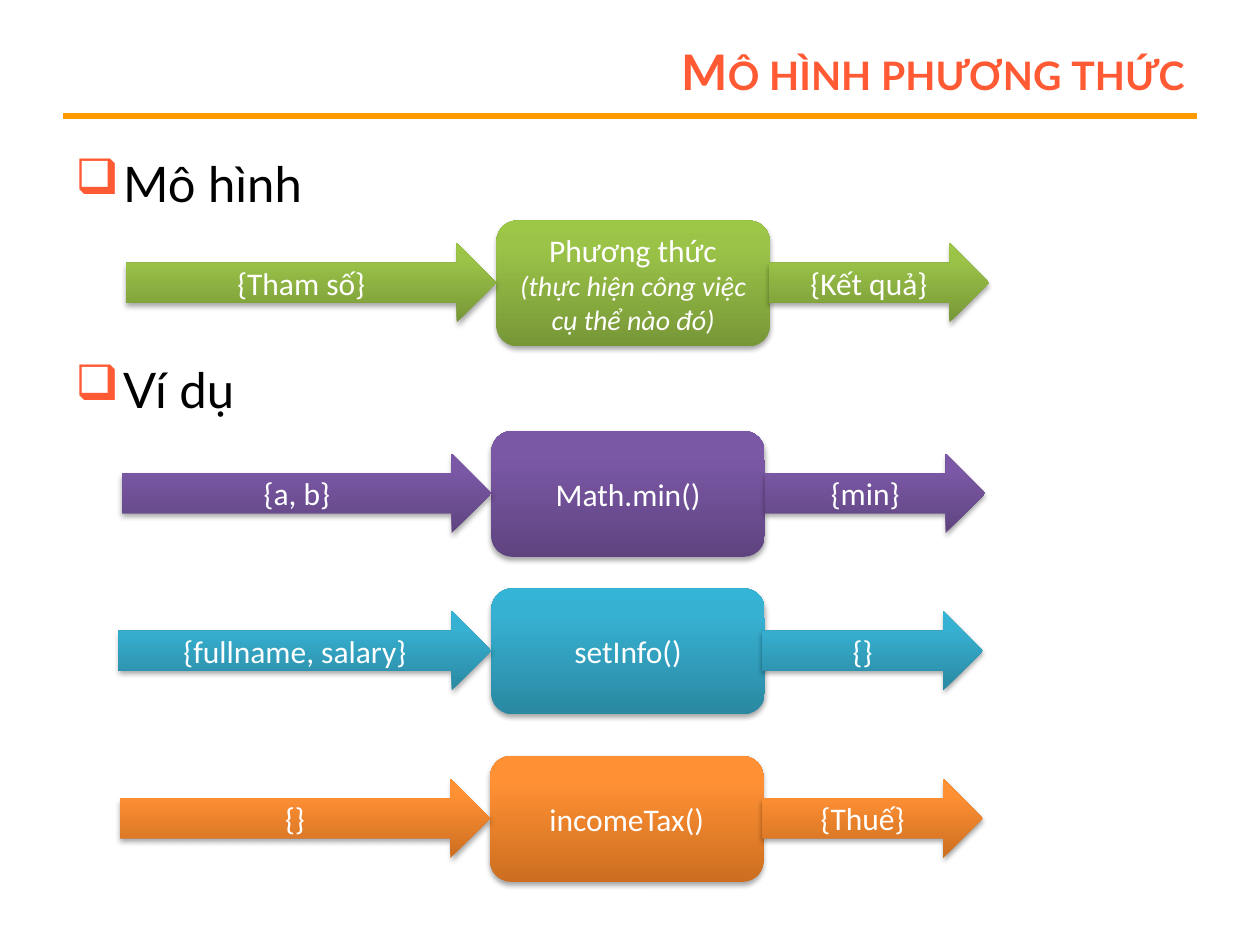
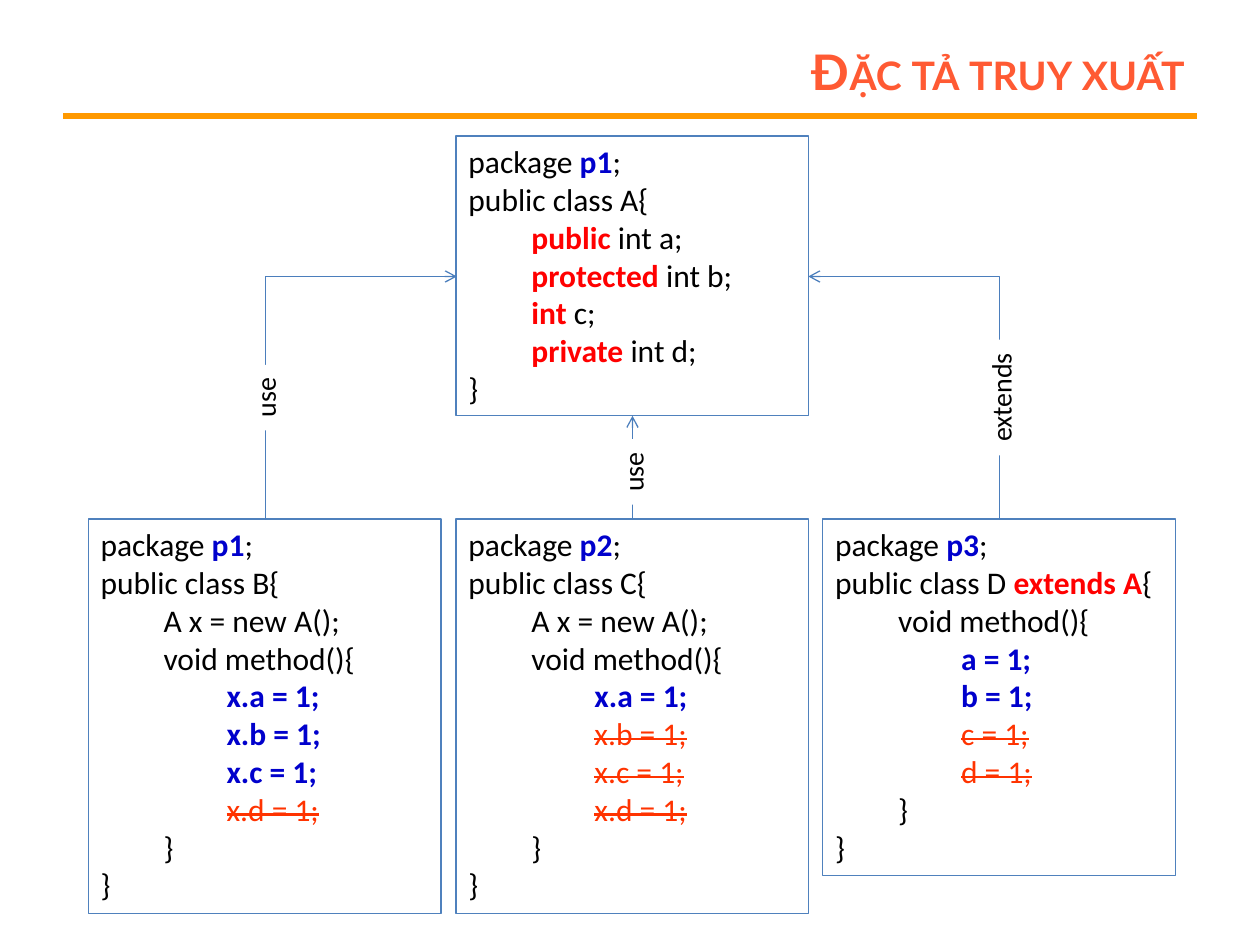
from copy import deepcopy
from dataclasses import dataclass
from lxml.etree import SubElement
from pptx import Presentation
from pptx.dml.color import RGBColor
from pptx.enum.shapes import MSO_CONNECTOR, MSO_SHAPE
from pptx.enum.text import MSO_ANCHOR, PP_ALIGN
from pptx.oxml.ns import qn
from pptx.util import Inches, Pt


@dataclass
class Theme:
    head: str = "Lato"
    body: str = "Calibri"
    big: int = 28
    text: int = 18
    small: int = 16
    accent: str = "FF5A33"
    rule: str = "FF9900"
    edge: str = "4F81BD"
    link: str = "4B7EBC"
    black: str = "000000"
    white: str = "FFFFFF"
    blue: str = "0000CC"
    red: str = "FF0000"
    cut: str = "FF3300"
    green: tuple = ("779737", "9BC348", "9DC746")
    purple: tuple = ("5F4480", "7B58A6", "7C57A8")
    teal: tuple = ("2A88A2", "37B1D2", "34B4D6")
    orange: tuple = ("CC6E20", "FF9034", "FF9136")


theme = Theme()
rgb = RGBColor.from_string
deck = Presentation()
deck.slide_width, deck.slide_height = Inches(10), Inches(7.5)


def style(frame, font, size, color, align=PP_ALIGN.LEFT):
    """Give every run of a text frame the same look."""
    frame.word_wrap = True
    for para in frame.paragraphs:
        para.alignment = align
        for run in para.runs:
            run.font.name, run.font.size = font, Pt(size)
            run.font.color.rgb = rgb(color)


def start(title):
    """Add a slide with its title and the rule below it."""
    slide = deck.slides.add_slide(deck.slide_layouts[6])
    rule = slide.shapes.add_connector(
        MSO_CONNECTOR.STRAIGHT, Inches(0.5), Inches(0.92), Inches(9.5), Inches(0.92))
    rule.line.color.rgb, rule.line.width = rgb(theme.rule), Pt(3)
    SubElement(rule._element.spPr, qn("a:effectLst"))
    frame = slide.shapes.add_textbox(
        Inches(2.25), Inches(0.3), Inches(7.25), Inches(0.53)).text_frame
    frame.text = title
    frame.vertical_anchor = MSO_ANCHOR.MIDDLE
    style(frame, theme.head, theme.big, theme.accent, PP_ALIGN.RIGHT)
    font = frame.paragraphs[0].runs[0].font
    font.bold = True
    font._element.set("cap", "small")
    return slide


# Slide 1: method model and examples
slide = start("Mô hình phương thức")
frame = slide.shapes.add_textbox(
    Inches(0.5), Inches(1.17), Inches(9), Inches(5.75)).text_frame
frame.text = "Mô hình\nVí dụ"
style(frame, theme.head, theme.big, theme.black)
for para, gap in zip(frame.paragraphs, (5.6, 84)):
    para.space_before = Pt(gap)
    props = para._element.get_or_add_pPr()
    props.set("marL", str(Inches(0.38)))
    props.set("indent", str(-Inches(0.38)))
    SubElement(SubElement(props, qn("a:buClr")), qn("a:srgbClr"), val=theme.accent)
    SubElement(props, qn("a:buChar"), char="❑")

# top, left edges of input, box and output, colours, texts
flows = [
    (1.75, 1, 3.94, 6.1, theme.green, "{Tham số}",
     "Phương thức\n(thực hiện công việc cụ thể nào đó)", "{Kết quả}"),
    (3.42, 0.97, 3.9, 6.07, theme.purple, "{a, b}", "Math.min()", "{min}"),
    (4.67, 0.94, 3.9, 6.05, theme.teal, "{fullname, salary}", "setInfo()", "{}"),
    (6, 0.95, 3.89, 6.05, theme.orange, "{}", "incomeTax()", "{Thuế}"),
]
for top, left, mid, right, tones, given, method, result in flows:
    parts = [
        (MSO_SHAPE.ROUNDED_RECTANGLE, mid, top, 2.17, 1, method),
        (MSO_SHAPE.RIGHT_ARROW, left, top + 0.18, mid - left, 0.63, given),
        (MSO_SHAPE.RIGHT_ARROW, right, top + 0.18, 1.75, 0.63, result),
    ]
    for kind, x, y, wide, high, text in parts:
        shape = slide.shapes.add_shape(
            kind, Inches(x), Inches(y), Inches(wide), Inches(high))
        shape.line.fill.background()
        shape.fill.gradient()
        shape.fill.gradient_angle = 90
        stops = shape._element.spPr.find(".//" + qn("a:gsLst"))
        stops.append(deepcopy(stops[-1]))
        for stop, tone, place in zip(shape.fill.gradient_stops, tones, (0, 0.8, 1)):
            stop.color.rgb, stop.position = rgb(tone), place
        shape.shadow.inherit = False
        shade = SubElement(
            shape._element.spPr.find(qn("a:effectLst")), qn("a:outerShdw"),
            blurRad=str(Pt(3.1)), dist=str(Pt(1.8)), dir="5400000", rotWithShape="0")
        ink = SubElement(shade, qn("a:srgbClr"), val=theme.black)
        SubElement(ink, qn("a:alpha"), val="35000")
        frame = shape.text_frame
        frame.text = text
        frame.vertical_anchor = MSO_ANCHOR.MIDDLE
        style(frame, theme.body, theme.text, theme.white, PP_ALIGN.CENTER)
        for para in frame.paragraphs[1:]:
            para.runs[0].font.size = Pt(theme.small)
            para.runs[0].font.italic = True

# Slide 2: access levels; a code line is an indent level and its (text, colour) runs
slide = start("Đặc tả truy xuất")
black, blue, red = theme.black, theme.blue, theme.red
lines = [(0, ("package ", black), ("p1", blue), (";", black)),
         (0, ("public class A{", black))]
for word, rest in (("public ", "int a;"), ("protected ", "int b;"),
                   ("int ", "c;"), ("private ", "int d;")):
    lines.append((1, (word, red), (rest, black)))
lines.append((0, ("}", black)))
boxes = [(3.62, 1.08, 2.22, lines)]

# left, height, package, class, prefix of members, members within reach
users = [(0.7, 3.13, "p1", "B", "x.", "abc"),
         (3.62, 3.13, "p2", "C", "x.", "a"),
         (6.53, 2.83, "p3", "D", "", "ab")]
for left, high, pack, name, prefix, seen in users:
    lines = [(0, ("package ", black), (pack, blue), (";", black))]
    if prefix:
        lines += [(0, (f"public class {name}{{", black)),
                  (1, ("A x = new A();", black))]
    else:
        lines.append((0, (f"public class {name} ", black), ("extends A", red), ("{", black)))
    lines.append((1, ("void method(){", black)))
    for field in "abcd":
        tone = blue if field in seen else theme.cut
        lines.append((2, (f"{prefix}{field} = 1;", tone)))
    lines += [(1, ("}", black)), (0, ("}", black))]
    boxes.append((left, 4.12, high, lines))

for left, top, high, lines in boxes:
    box = slide.shapes.add_shape(
        MSO_SHAPE.RECTANGLE, Inches(left), Inches(top), Inches(2.8), Inches(high))
    box.shadow.inherit = False
    box.fill.background()
    box.line.color.rgb, box.line.width = rgb(theme.edge), Pt(0.75)
    frame = box.text_frame
    frame.vertical_anchor = MSO_ANCHOR.TOP
    frame.text = "\n".join("".join(text for text, tone in runs) for level, *runs in lines)
    for para, (level, *runs) in zip(frame.paragraphs, lines):
        para._element.get_or_add_pPr().set("marL", str(Inches(level * 0.5)))
        para.runs[0].text = runs[0][0]
        for text, tone in runs[1:]:
            para.add_run().text = text
    style(frame, theme.body, theme.text, black)
    for para, (level, *runs) in zip(frame.paragraphs, lines):
        for run, (text, tone) in zip(para.runs, runs):
            run.font.color.rgb = rgb(tone)
            run.font.bold = tone in (blue, red)
            if tone == theme.cut:
                run.font._element.set("strike", "sngStrike")

# ends before turning, then the turn in degrees
links = [(3.83, 3.92, 1.9, 2.4, 90), (5.02, 4.12, 5.02, 3.3, 0),
         (6.21, 3.92, 8.14, 2.4, 270)]
for x1, y1, x2, y2, turn in links:
    kind = MSO_CONNECTOR.ELBOW if turn else MSO_CONNECTOR.STRAIGHT
    link = slide.shapes.add_connector(
        kind, Inches(x1), Inches(y1), Inches(x2), Inches(y2))
    link.line.color.rgb, link.line.width = rgb(theme.link), Pt(0.75)
    props = link._element.spPr
    if turn:
        props.find(qn("a:prstGeom")).set("prst", "bentConnector2")
        props.find(qn("a:xfrm")).set("rot", str(turn * 60000))
    SubElement(props.find(qn("a:ln")), qn("a:tailEnd"), type="arrow")
    SubElement(props, qn("a:effectLst"))

for left, top, wide, text in ((1.84, 2.97, 0.52, "use"), (4.76, 3.56, 0.52, "use"),
                              (7.48, 2.97, 0.92, "extends")):
    label = slide.shapes.add_shape(
        MSO_SHAPE.RECTANGLE, Inches(left), Inches(top), Inches(wide), Inches(0.37))
    label.rotation = 270
    label.shadow.inherit = False
    label.fill.solid()
    label.fill.fore_color.rgb = rgb(theme.white)
    label.line.fill.background()
    label.text_frame.text = text
    style(label.text_frame, theme.body, theme.small, black, PP_ALIGN.CENTER)
    label.text_frame.word_wrap = False

deck.save("out.pptx")
